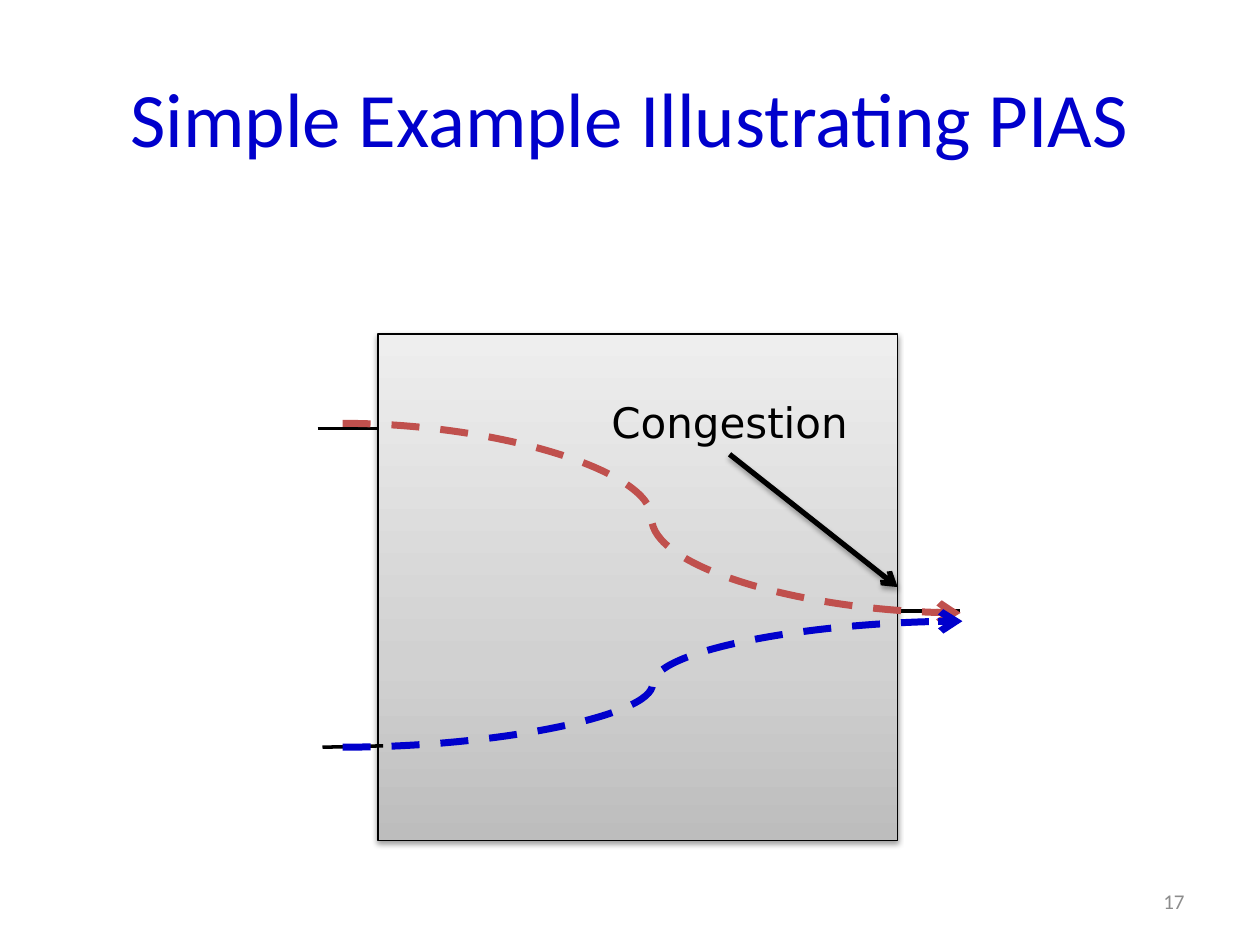
from copy import deepcopy
from dataclasses import dataclass
from typing import Optional

from lxml import etree
from pptx import Presentation
from pptx.dml.color import RGBColor
from pptx.enum.dml import MSO_LINE
from pptx.enum.shapes import MSO_CONNECTOR, MSO_SHAPE
from pptx.enum.text import MSO_ANCHOR, MSO_AUTO_SIZE, PP_ALIGN
from pptx.oxml.ns import qn
from pptx.util import Pt

STRAIGHT, CURVE = MSO_CONNECTOR.STRAIGHT, MSO_CONNECTOR.CURVE
DASH = MSO_LINE.DASH
RECTANGLE = MSO_SHAPE.RECTANGLE
TOP, MIDDLE = MSO_ANCHOR.TOP, MSO_ANCHOR.MIDDLE
CENTER, RIGHT = PP_ALIGN.CENTER, PP_ALIGN.RIGHT
FIT_SHAPE, NO_FIT = MSO_AUTO_SIZE.SHAPE_TO_FIT_TEXT, MSO_AUTO_SIZE.NONE

BLACK = RGBColor(0x00, 0x00, 0x00)
WHITE = RGBColor(0xFF, 0xFF, 0xFF)
BLUE = RGBColor(0x00, 0x00, 0xCC)
RED = RGBColor(0xC0, 0x50, 0x4D)
GRAY = RGBColor(0x8C, 0x8C, 0x8C)
SWITCH_STOPS = (
    RGBColor(0xBD, 0xBD, 0xBD),
    RGBColor(0xD1, 0xD1, 0xD1),
    RGBColor(0xEE, 0xEE, 0xEE),
)
MIDDLE_STOP = 35000


@dataclass(frozen=True)
class Box:
    left: float
    top: float
    width: float
    height: float

    def lengths(self) -> list:
        return [Pt(value) for value in (self.left, self.top, self.width, self.height)]


@dataclass(frozen=True)
class Path:
    start: tuple
    end: tuple
    color: RGBColor = BLACK
    width: float = 2
    kind: int = STRAIGHT
    dash: Optional[int] = None
    arrow: bool = False


@dataclass(frozen=True)
class Label:
    text: str
    box: Box
    font: str
    size: float
    color: RGBColor
    alignment: int
    anchor: int
    fit: int = NO_FIT


SWITCH = Box(216, 190.8, 297, 289.4)
LINKS = (
    Path((181.5, 244.8), (216, 244.8)),
    Path((184.3, 427), (219, 426.2)),
    Path((513, 349.2), (548.6, 349.2)),
)
FLOWS = (
    Path((195.8, 241.9), (549, 350.2), RED, 4, CURVE, DASH, True),
    Path((195.8, 427), (550, 355), BLUE, 4, CURVE, DASH, True),
)
POINTER = Path((416.9, 259.6), (513, 335.5), width=3, arrow=True)
TITLE = Label("Simple Example Illustrating PIAS", Box(36, 21.6, 648, 90),
              "Calibri", 44, BLUE, CENTER, MIDDLE)
CONGESTION = Label("Congestion", Box(331.9, 223.2, 170, 36.4),
                   "DejaVu Sans", 24, BLACK, CENTER, TOP, FIT_SHAPE)
PAGE_NUMBER = Label("17", Box(516, 500.5, 168, 28.75), "Calibri", 12, GRAY, RIGHT, MIDDLE)


def write_label(shape, label: Label) -> None:
    shape.left, shape.top, shape.width, shape.height = label.box.lengths()
    text_frame = shape.text_frame
    text_frame.text = label.text
    text_frame.word_wrap = True
    text_frame.auto_size = label.fit
    text_frame.vertical_anchor = label.anchor
    paragraph = text_frame.paragraphs[0]
    paragraph.alignment = label.alignment
    font = paragraph.runs[0].font
    font.name = label.font
    font.size = Pt(label.size)
    font.color.rgb = label.color


def add_label(slide, label: Label):
    shape = slide.shapes.add_textbox(*label.box.lengths())
    write_label(shape, label)
    return shape


def add_shadow(effects, opacity: int, distance: float) -> None:
    shadow = etree.SubElement(
        effects, qn("a:outerShdw"), blurRad=str(Pt(3.1)), dist=str(Pt(distance)),
        dir="5400000", rotWithShape="0")
    color = etree.SubElement(shadow, qn("a:srgbClr"), val=str(BLACK))
    etree.SubElement(color, qn("a:alpha"), val=str(opacity * 1000))


def add_switch(slide):
    shape = slide.shapes.add_shape(RECTANGLE, *SWITCH.lengths())
    shape.line.color.rgb = BLACK
    shape.line.width = Pt(0.75)
    shape.fill.gradient()
    shape.fill.gradient_angle = 90
    stop_list = shape._element.spPr.find(".//" + qn("a:gsLst"))
    middle_stop = deepcopy(stop_list[0])
    middle_stop.set("pos", str(MIDDLE_STOP))
    stop_list.insert(1, middle_stop)
    for stop, color in zip(shape.fill.gradient_stops, SWITCH_STOPS):
        stop.color.rgb = color
    shape.shadow.inherit = False
    add_shadow(shape._element.spPr.find(qn("a:effectLst")), 38, 1.6)
    return shape


def add_path(slide, path: Path):
    ends = [Pt(value) for value in (*path.start, *path.end)]
    connector = slide.shapes.add_connector(path.kind, *ends)
    line = connector.line
    line.color.rgb = path.color
    line.width = Pt(path.width)
    if path.dash is not None:
        line.dash_style = path.dash
    properties = connector._element.spPr
    if path.arrow:
        etree.SubElement(properties.find(qn("a:ln")), qn("a:tailEnd"), type="arrow")
    etree.SubElement(properties, qn("a:effectLst"))
    return connector


def main() -> None:
    presentation = Presentation()
    presentation.slide_width, presentation.slide_height = Pt(720), Pt(540)
    slide = presentation.slides.add_slide(presentation.slide_layouts[5])

    title = slide.shapes.title
    write_label(title, TITLE)
    title.line.color.rgb = WHITE
    title.line.width = Pt(0.75)

    switch = add_switch(slide)
    for path in LINKS + FLOWS:
        add_path(slide, path)

    congestion = add_label(slide, CONGESTION)
    pointer = add_path(slide, POINTER)
    pointer.begin_connect(congestion, 2)
    pointer.end_connect(switch, 3)
    add_shadow(pointer._element.spPr.find(qn("a:effectLst")), 35, 1.8)

    add_label(slide, PAGE_NUMBER)
    presentation.save("out.pptx")


if __name__ == "__main__":
    main()
